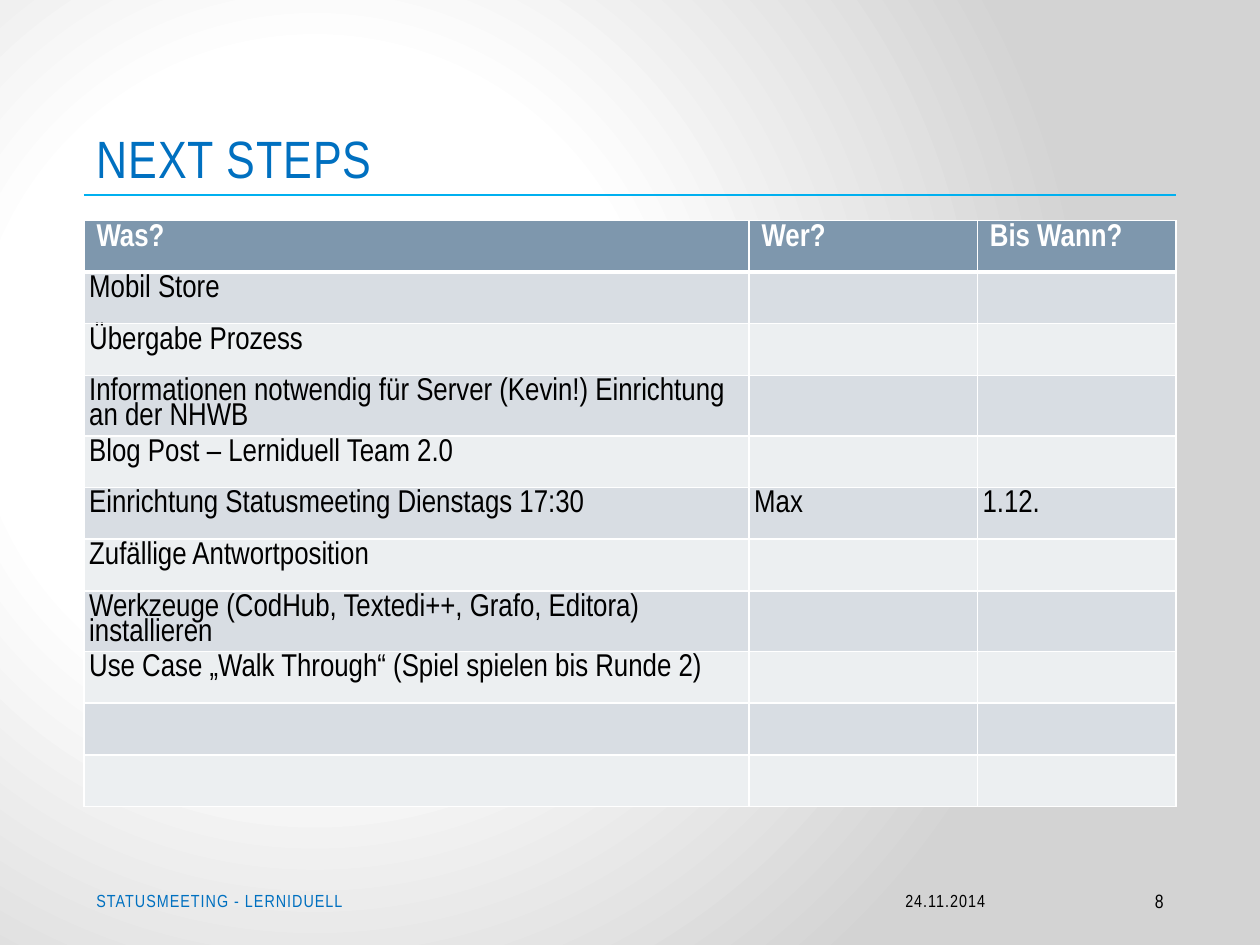
"""Build the "Next Steps" slide with its task table."""
from dataclasses import dataclass

from lxml.etree import SubElement
from pptx import Presentation
from pptx.dml.color import RGBColor
from pptx.enum.shapes import MSO_CONNECTOR
from pptx.enum.text import MSO_ANCHOR, PP_ALIGN
from pptx.oxml import parse_xml
from pptx.oxml.ns import nsdecls, qn
from pptx.util import Pt

FONT = "Arial Narrow"
BLUE = RGBColor(0x00, 0x70, 0xC0)
CYAN = RGBColor(0x00, 0xB0, 0xF0)
HEADER = RGBColor(0x7E, 0x97, 0xAD)
BANDS = (RGBColor(0xEC, 0xEF, 0xF1), RGBColor(0xD8, 0xDD, 0xE3))
BLACK = RGBColor(0, 0, 0)
WHITE = RGBColor(0xFF, 0xFF, 0xFF)
GREY = RGBColor(0xD3, 0xD3, 0xD3)

LEFT, WIDTH = 48, 624
COLUMNS = (380, 130.5, 113.5)
ROW_HEIGHT = 29.5


@dataclass
class Task:
    what: str = ""
    who: str = ""
    due: str = ""


@dataclass
class FooterText:
    text: str
    left: float
    width: float
    size: float
    color: RGBColor
    align: PP_ALIGN
    spacing: int


TASKS = [
    Task("Mobil Store"),
    Task("Übergabe Prozess"),
    Task("Informationen notwendig für Server (Kevin!) Einrichtung an der NHWB"),
    Task("Blog Post – Lerniduell Team 2.0"),
    Task("Einrichtung Statusmeeting Dienstags 17:30", "Max", "1.12."),
    Task("Zufällige Antwortposition"),
    Task("Werkzeuge (CodHub, Textedi++, Grafo, Editora) installieren"),
    Task("Use Case „Walk Through“ (Spiel spielen bis Runde 2)"),
    Task(),
    Task(),
]
FOOTERS = [
    FooterText("STATUSMEETING - LERNIDUELL", LEFT, 228, 10, BLUE, PP_ALIGN.LEFT, 60),
    FooterText("24.11.2014", 450, 120, 10, BLACK, PP_ALIGN.RIGHT, 60),
    FooterText("8", 594, 78, 11, BLACK, PP_ALIGN.RIGHT, 0),
]


def set_font(p, size: float, color: RGBColor, bold: bool = False) -> None:
    """Apply the slide font to a paragraph."""
    p.font.name = FONT
    p.font.size = Pt(size)
    p.font.color.rgb = color
    p.font.bold = bold


def set_background(s) -> None:
    """Fill the background with a radial gradient."""
    fill = s.background.fill
    fill.solid()
    stops = "".join(
        f'<a:gs pos="{pos}"><a:srgbClr val="{color}"/></a:gs>'
        for pos, color in ((0, WHITE), (41000, WHITE), (100000, GREY))
    )
    grad = parse_xml(
        f'<a:gradFill {nsdecls("a")} rotWithShape="1"><a:gsLst>{stops}</a:gsLst>'
        '<a:path path="circle"><a:fillToRect l="50000" t="80000" r="100000" b="100000"/>'
        "</a:path></a:gradFill>"
    )
    solid = next(s.element.iter(qn("a:solidFill")))
    solid.getparent().replace(solid, grad)


def add_title(s, text: str) -> None:
    """Place the title in its placeholder above the rule."""
    sp = s.shapes.title
    sp.left, sp.top, sp.width, sp.height = Pt(LEFT), Pt(21.6), Pt(WIDTH), Pt(90)
    tf = sp.text_frame
    tf.text = text
    tf.vertical_anchor = MSO_ANCHOR.BOTTOM
    p = tf.paragraphs[0]
    p.alignment = PP_ALIGN.LEFT
    set_font(p, 30, BLUE)
    p.runs[0].font._element.set("spc", "50")


def add_rule(s) -> None:
    """Draw the line below the title."""
    y = Pt(111.6)
    line = s.shapes.add_connector(MSO_CONNECTOR.STRAIGHT, Pt(LEFT), y, Pt(LEFT + WIDTH), y)
    line.line.color.rgb = CYAN
    line.line.width = Pt(1.25)
    SubElement(line._element.spPr, qn("a:effectLst"))


def add_footer(s, item: FooterText) -> None:
    """Add one footer text."""
    sp = s.shapes.add_textbox(Pt(item.left), Pt(500.4), Pt(item.width), Pt(28.8))
    tf = sp.text_frame
    tf.word_wrap = True
    tf.vertical_anchor = MSO_ANCHOR.MIDDLE
    p = tf.paragraphs[0]
    p.alignment = item.align
    r = p.add_run()
    r.text = item.text
    set_font(p, item.size, item.color)
    r.font._element.set("spc", str(item.spacing))


def style_cell(cell, fill: RGBColor, top: float, bottom: float) -> None:
    """Give a cell white borders and a solid fill."""
    tc_pr = cell._tc.get_or_add_tcPr()
    for side, width in (("L", 1), ("R", 1), ("T", top), ("B", bottom)):
        tc_pr.append(parse_xml(
            f'<a:ln{side} {nsdecls("a")} w="{Pt(width)}"><a:solidFill>'
            f'<a:srgbClr val="{WHITE}"/></a:solidFill></a:ln{side}>'
        ))
    cell.fill.solid()
    cell.fill.fore_color.rgb = fill


def add_tasks(s, header: Task, tasks: list[Task]) -> None:
    """Add the task table with a header and banded rows."""
    rows = [header, *tasks]
    table = s.shapes.add_table(
        len(rows), len(COLUMNS), Pt(LEFT), Pt(126), Pt(WIDTH), Pt(ROW_HEIGHT * len(rows))
    ).table
    for column, width in zip(table.columns, COLUMNS):
        column.width = Pt(width)
    for i, task in enumerate(rows):
        table.rows[i].height = Pt(ROW_HEIGHT)
        for j, text in enumerate((task.what, task.who, task.due)):
            cell = table.cell(i, j)
            style_cell(cell, BANDS[i % 2] if i else HEADER,
                       3 if i == 1 else 1, 1 if i else 3)
            cell.text = text
            p = cell.text_frame.paragraphs[0]
            p.line_spacing = 0.85
            set_font(p, 18, BLACK if i else WHITE, bold=i == 0)
            if i:
                cell.margin_left = cell.margin_right = Pt(3)
                cell.margin_top = cell.margin_bottom = Pt(3)


def main() -> None:
    """Create and save the presentation."""
    prs = Presentation()
    prs.slide_width, prs.slide_height = Pt(720), Pt(540)
    s = prs.slides.add_slide(prs.slide_layouts[5])
    set_background(s)
    add_rule(s)
    add_title(s, "NEXT STEPS")
    add_tasks(s, Task("Was?", "Wer?", "Bis Wann?"), TASKS)
    for item in FOOTERS:
        add_footer(s, item)
    prs.save("out.pptx")


if __name__ == "__main__":
    main()
